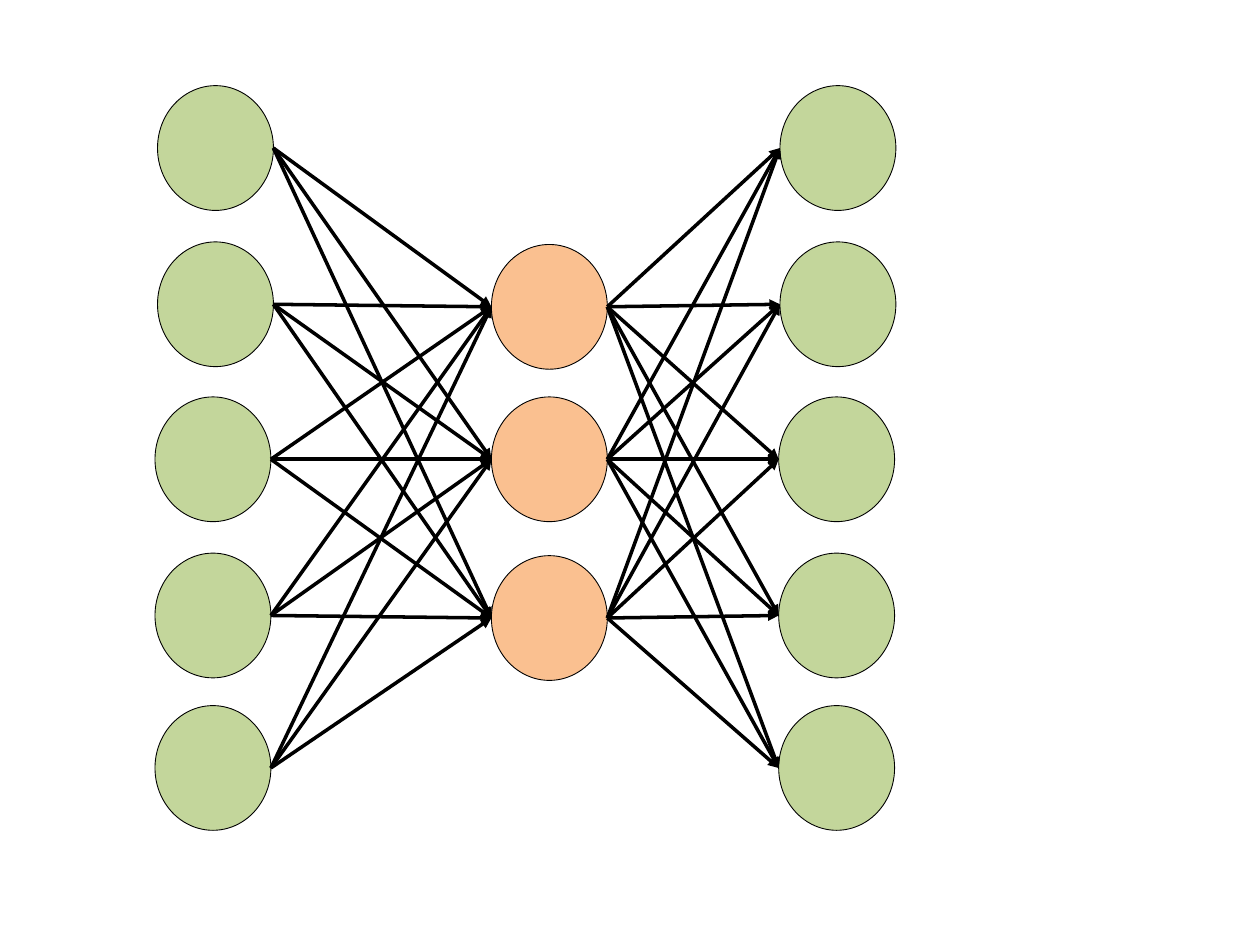
"""Draw a fully connected 5-3-5 neural network on one slide."""
from dataclasses import dataclass
from itertools import pairwise, product

from lxml.etree import SubElement
from pptx import Presentation
from pptx.dml.color import RGBColor
from pptx.enum.shapes import MSO_CONNECTOR as Connector, MSO_SHAPE as Shape
from pptx.oxml.ns import qn
from pptx.util import Inches, Pt

GREEN = RGBColor(0xC3, 0xD6, 0x9B)
ORANGE = RGBColor(0xFA, 0xC0, 0x90)
BLACK = RGBColor(0, 0, 0)

CELL = Inches(0.1)
COLS, ROWS = 100, 75
NODE_W, NODE_H = 9.2, 9.9
OUTER_ROWS = (6.8, 19.2, 31.5, 43.9, 56)
HIDDEN_ROWS = (19.4, 31.5, 44.1)


@dataclass(frozen=True)
class Node:
    col: float
    row: float
    fill: RGBColor

    @property
    def middle(self) -> float:
        return self.row + NODE_H / 2


def grid(*cells: float) -> list[int]:
    return [round(n * CELL) for n in cells]


def make_layer(cols: tuple[float, ...], rows: tuple[float, ...], fill: RGBColor) -> list[Node]:
    return [Node(col, row, fill) for col, row in zip(cols, rows)]


def draw_node(s, node: Node) -> None:
    sp = s.shapes.add_shape(Shape.OVAL, *grid(node.col, node.row, NODE_W, NODE_H))
    sp.shadow.inherit = False
    sp.fill.solid()
    sp.fill.fore_color.rgb = node.fill
    sp.line.color.rgb = BLACK
    sp.line.width = Pt(0.5)


def draw_link(s, start: Node, end: Node) -> None:
    ends = grid(start.col + NODE_W, start.middle, end.col, end.middle)
    cxn = s.shapes.add_connector(Connector.STRAIGHT, *ends)
    cxn.line.color.rgb = BLACK
    cxn.line.width = Pt(2)
    SubElement(cxn.line._get_or_add_ln(), qn("a:tailEnd"), type="triangle")
    SubElement(cxn._element.spPr, qn("a:effectLst"))


def main() -> None:
    prs = Presentation()
    prs.slide_width, prs.slide_height = grid(COLS, ROWS)
    s = prs.slides.add_slide(prs.slide_layouts[6])
    layers = [
        make_layer((12.5,) * 2 + (12.3,) * 3, OUTER_ROWS, GREEN),
        make_layer((39,) * 3, HIDDEN_ROWS, ORANGE),
        make_layer((61.9,) * 2 + (61.8,) * 3, OUTER_ROWS, GREEN),
    ]
    for layer in layers:
        for node in layer:
            draw_node(s, node)
    for left, right in pairwise(layers):
        for start, end in product(left, right):
            draw_link(s, start, end)
    prs.save("out.pptx")


if __name__ == "__main__":
    main()
